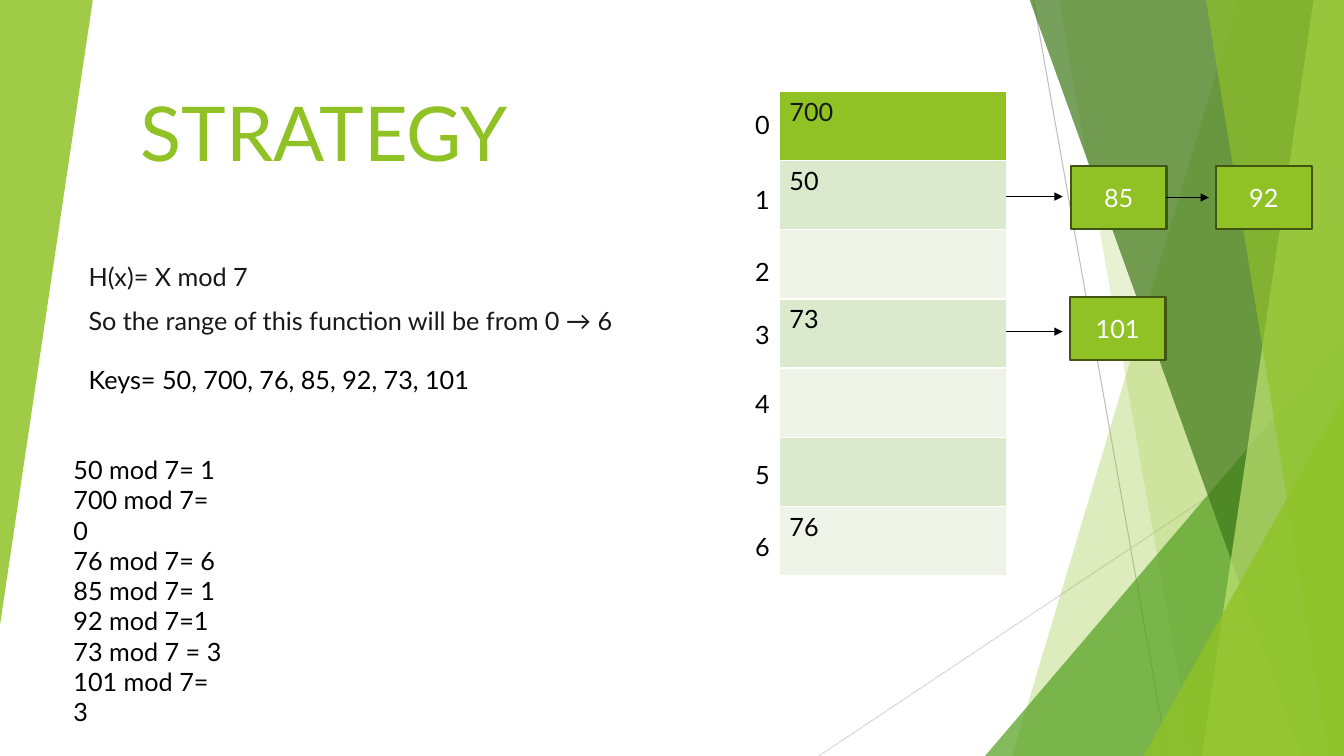
from lxml import etree
from pptx import Presentation
from pptx.dml.color import RGBColor
from pptx.enum import shapes, text
from pptx.oxml.ns import qn
from pptx.util import Inches, Pt

COLORS = {
    "lime": "90C226", "green": "54A021", "forest": "3F7819", "pale": "C0E474",
    "edge": "3F5511", "ink": "181818", "black": "000000", "white": "FFFFFF",
    "band_dark": "DBE9CD", "band_light": "EEF4E8",
    "gray": "BFBFBF", "light_gray": "D9D9D9",
}
FONT = "Lato"
WIDTH, HEIGHT, TOP = 13.33, 7.5, -0.01

# Each facet runs to the right edge: top-left x, bottom-left x, colour, opacity
FACETS_BACK = [(12.28, 10.04, "lime", 30), (10.5, 11.83, "lime", 20)]
FACETS_FRONT = [(10.21, 12.91, "forest", 70), (13.03, 11.92, "pale", 70),
                (11.96, 13.18, "lime", 65)]
HAIRLINES = [((10.25, 0), (11.58, HEIGHT), "gray"),
             ((WIDTH, 4.03), (8.12, HEIGHT), "light_gray")]

TITLE = "STRATEGY"
HASH_RULE = ["H(x)= X mod 7", "So the range of this function will be from 0 → 6 "]
KEYS = ["Keys= 50, 700, 76, 85, 92, 73, 101"]
STEPS = ["50 mod 7= 1", "700 mod 7= 0", "76 mod 7= 6", "85 mod 7= 1",
         "92 mod 7=1", "73 mod 7 = 3", "101 mod 7= 3"]
BUCKETS = ["700", "50", "", "73", "", "", "76"]
INDEX_TOPS = [1.04, 1.78, 2.49, 3.12, 3.8, 4.51, 5.22]
TABLE_LEFT, TABLE_TOP, TABLE_WIDTH, TABLE_HEIGHT = 7.73, 0.91, 2.25, 4.8
# Chained keys: text, box left, box top, arrow start, arrow end, arrow y
CHAIN = [("85", 10.62, 1.65, 9.98, 10.54, 1.95),
         ("92", 12.06, 1.65, 11.56, 11.99, 1.96),
         ("101", 10.61, 2.95, 9.98, 10.54, 3.29)]


def rgb(name):
    return RGBColor.from_string(COLORS[name])


def write(tf, lines, size=18, color="black", align=text.PP_ALIGN.LEFT, before=0):
    for i, line in enumerate(lines):
        p = tf.paragraphs[0] if i == 0 else tf.add_paragraph()
        p.alignment, p.space_before = align, Pt(before)
        r = p.add_run()
        r.text = line
        r.font.size, r.font.name, r.font.bold = Pt(size), FONT, False
        r.font.color.rgb = rgb(color)


def paint(sp, color, opacity=100, edge=None):
    sp.shadow.inherit = False
    sp.fill.solid()
    sp.fill.fore_color.rgb = rgb(color)
    if opacity < 100:
        clr = sp.fill._xPr.find(qn("a:solidFill"))[0]
        etree.SubElement(clr, qn("a:alpha"), val=str(opacity * 1000))
    if edge:
        sp.line.color.rgb, sp.line.width = rgb(edge), Pt(1.5)
    else:
        sp.line.fill.background()


def add_facet(slide, top_x, bottom_x, color, opacity):
    fb = slide.shapes.build_freeform(Inches(top_x), Inches(TOP))
    corners = [(WIDTH, TOP), (WIDTH, HEIGHT), (bottom_x, HEIGHT)]
    fb.add_line_segments([(Inches(x), Inches(y)) for x, y in corners], close=True)
    paint(fb.convert_to_shape(), color, opacity)


def add_triangle(slide, x, y, w, h, color, opacity, rotation=0):
    """Right triangle whose apex sits above its right end."""
    sp = slide.shapes.add_shape(shapes.MSO_SHAPE.ISOSCELES_TRIANGLE,
                                Inches(x), Inches(y), Inches(w), Inches(h))
    sp.adjustments[0] = 1
    sp.rotation = rotation
    paint(sp, color, opacity)


def add_line(slide, start, end, color, width, arrow=False):
    ends = [Inches(v) for v in (*start, *end)]
    line = slide.shapes.add_connector(shapes.MSO_CONNECTOR.STRAIGHT, *ends)
    line.line.color.rgb, line.line.width = rgb(color), Pt(width)
    if arrow:
        etree.SubElement(line.line._get_or_add_ln(), qn("a:tailEnd"), type="triangle")
    etree.SubElement(line._element.spPr, qn("a:effectLst"))


def add_text(slide, x, y, w, h, lines, wrap=True, **fmt):
    tf = slide.shapes.add_textbox(Inches(x), Inches(y), Inches(w), Inches(h)).text_frame
    tf.word_wrap = wrap
    write(tf, lines, **fmt)


def add_backdrop(slide):
    for start, end, color in HAIRLINES:
        add_line(slide, start, end, color, 0.75)
    for facet in FACETS_BACK:
        add_facet(slide, *facet)
    add_triangle(slide, 9.77, 3.33, 3.56, 4.17, "green", 72)
    for facet in FACETS_FRONT:
        add_facet(slide, *facet)
    add_triangle(slide, 11.34, 3.93, 1.99, 3.57, "lime", 80)
    add_triangle(slide, 0, 0, 0.92, 6.2, "lime", 85, rotation=180)


def add_title(slide):
    title = slide.shapes.title
    title.left, title.top = Inches(-3.35), Inches(0)
    title.width, title.height = Inches(8.49), Inches(1.8)
    tf = title.text_frame
    tf.auto_size = text.MSO_AUTO_SIZE.NONE
    tf.vertical_anchor = text.MSO_ANCHOR.BOTTOM
    write(tf, [TITLE], size=54, color="lime", align=text.PP_ALIGN.RIGHT)


def add_hash_table(slide):
    table = slide.shapes.add_table(len(BUCKETS), 1, Inches(TABLE_LEFT), Inches(TABLE_TOP),
                                   Inches(TABLE_WIDTH), Inches(TABLE_HEIGHT)).table
    for i, (key, top) in enumerate(zip(BUCKETS, INDEX_TOPS)):
        cell = table.cell(i, 0)
        cell.fill.solid()
        band = "band_dark" if i % 2 else "band_light"
        cell.fill.fore_color.rgb = rgb(band if i else "lime")
        if key:
            write(cell.text_frame, [key], color="black" if i else "ink")
        add_text(slide, 7.39, top, 0.34, 0.4, [str(i)], wrap=False)


def add_chain(slide):
    for key, x, y, start, end, arrow_y in CHAIN:
        add_line(slide, (start, arrow_y), (end, arrow_y), "black", 1, arrow=True)
        sp = slide.shapes.add_shape(shapes.MSO_SHAPE.RECTANGLE, Inches(x), Inches(y),
                                    Inches(0.95), Inches(0.62))
        paint(sp, "lime", edge="edge")
        sp.text_frame.vertical_anchor = text.MSO_ANCHOR.MIDDLE
        write(sp.text_frame, [key], color="white", align=text.PP_ALIGN.CENTER)


def main():
    prs = Presentation()
    prs.slide_width, prs.slide_height = Inches(WIDTH), Inches(HEIGHT)
    slide = prs.slides.add_slide(prs.slide_layouts[5])
    add_backdrop(slide)
    add_title(slide)
    add_text(slide, 0.78, 2.54, 9.65, 1.58, HASH_RULE, color="ink",
             align=text.PP_ALIGN.JUSTIFY, before=10)
    add_hash_table(slide)
    add_text(slide, 0.78, 3.57, 4.05, 0.4, KEYS, wrap=False)
    add_text(slide, 0.63, 4.46, 1.7, 2.83, STEPS)
    add_chain(slide)
    prs.save("out.pptx")


if __name__ == "__main__":
    main()
